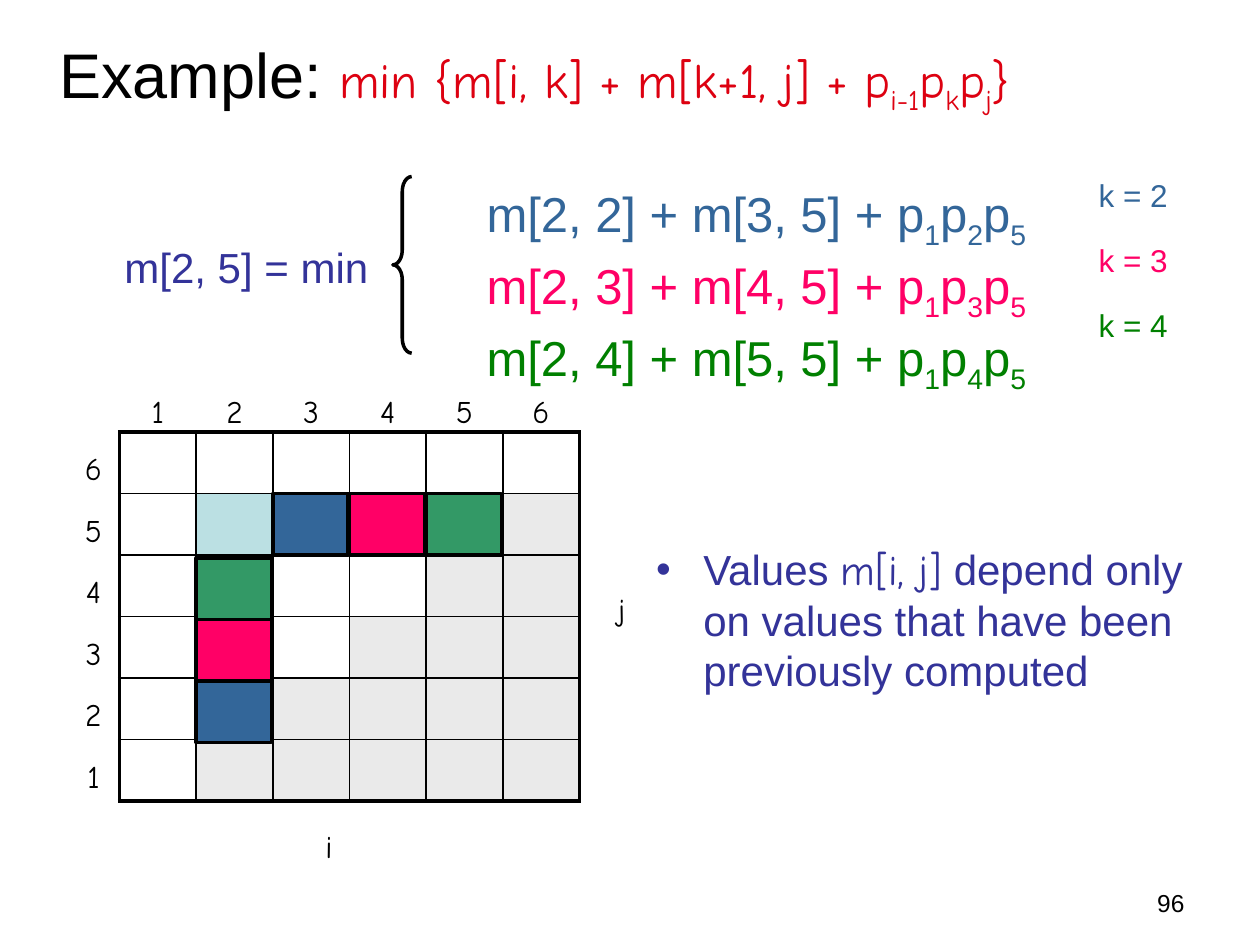
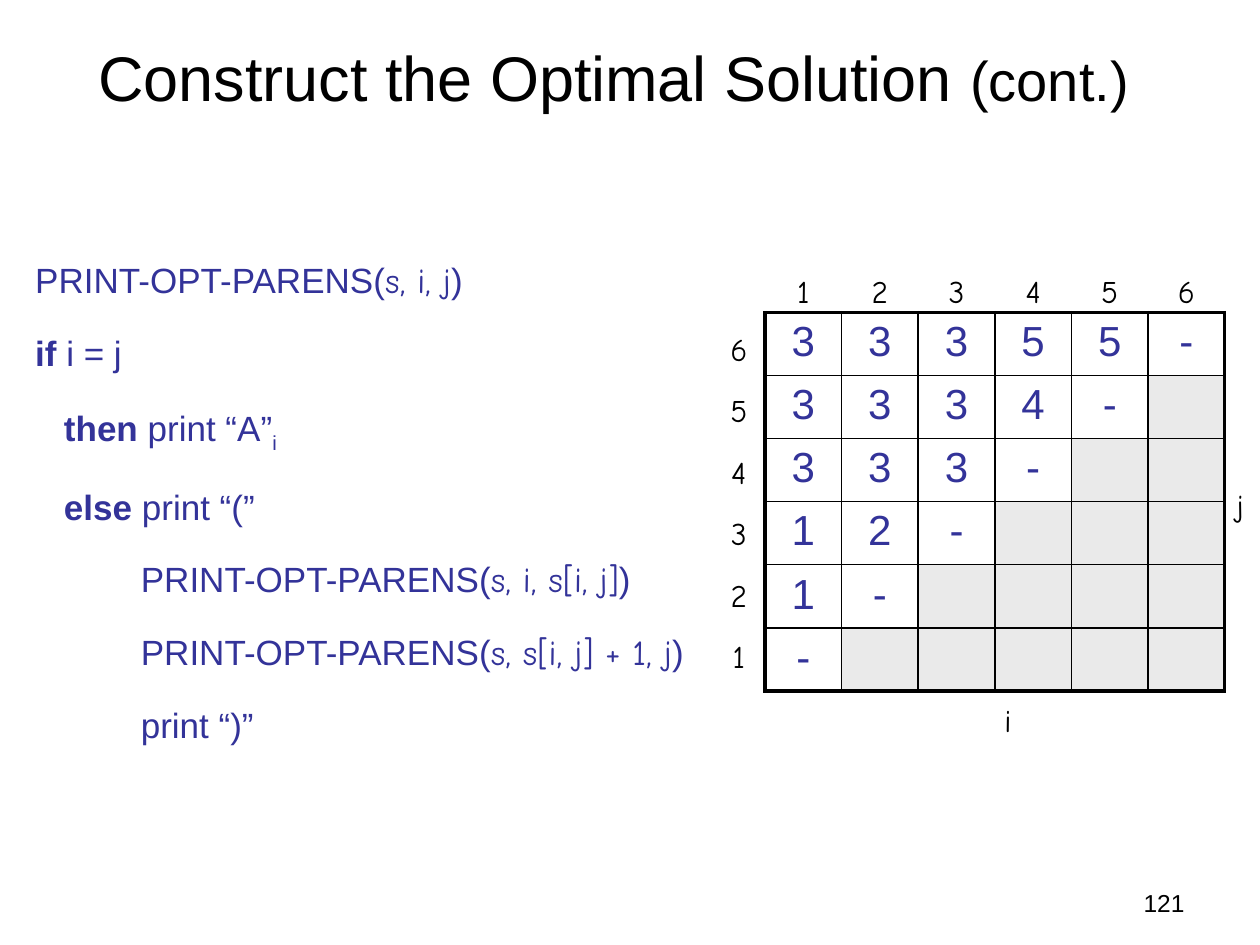
"""Build two slides on matrix-chain multiplication by dynamic programming."""
from dataclasses import dataclass
from typing import Optional

from lxml import etree
from pptx import Presentation
from pptx.dml.color import RGBColor
from pptx.enum.shapes import MSO_SHAPE
from pptx.enum.text import MSO_ANCHOR, PP_ALIGN
from pptx.oxml.ns import qn
from pptx.util import Cm, Pt

LEFT, CENTER, RIGHT = PP_ALIGN.LEFT, PP_ALIGN.CENTER, PP_ALIGN.RIGHT
MIDDLE = MSO_ANCHOR.MIDDLE
RECTANGLE, LEFT_BRACE = MSO_SHAPE.RECTANGLE, MSO_SHAPE.LEFT_BRACE
TITLE_ONLY = 5


@dataclass(frozen=True)
class Theme:
    """Colours, fonts and type sizes shared by the slides."""
    ink: str = "000000"
    body: str = "333399"
    formula: str = "DD0111"
    unused: str = "EAEAEA"
    target: str = "BBE0E3"
    sans: str = "Arial"
    math: str = "Comic Neue"
    title: int = 36
    title_small: int = 32
    equation: int = 28
    text: int = 24
    code: int = 20
    label: int = 18
    page: int = 14


@dataclass(frozen=True)
class Piece:
    """A stretch of text that may differ from its paragraph."""
    text: str
    math: bool = False
    sub: bool = False
    bold: bool = False
    size: Optional[int] = None
    color: Optional[str] = None


THEME = Theme()
SIZE = 6
CELL_W, CELL_H = 1.545, 1.24
LABEL_W, LABEL_H = 0.89, 1.02
THIN, THICK = 1, 2.25
SPLITS = {2: ("336699", "336699"), 3: ("FF0066", "FF0066"), 4: ("008000", "339966")}
S_VALUES = ["33355-", "3334-", "333-", "12-", "1-", "-"]


def style(run, size, color, font, bold=False):
    """Format one run."""
    run.font.name, run.font.size, run.font.bold = font, Pt(size), bold
    run.font.color.rgb = RGBColor.from_string(color)


def write(paragraph, pieces, size, color):
    """Fill a paragraph with formatted pieces."""
    for piece in pieces:
        run = paragraph.add_run()
        run.text = piece.text
        style(run, piece.size or size, piece.color or color,
              THEME.math if piece.math else THEME.sans, piece.bold)
        if piece.sub:
            run._r.get_or_add_rPr().set("baseline", "-25000")


def indent(paragraph, margin, first=0.0):
    """Set the left margin and first-line offset of a paragraph."""
    properties = paragraph._p.get_or_add_pPr()
    properties.set("marL", str(Cm(margin)))
    properties.set("indent", str(Cm(first)))
    return properties


def add_frame(slide, left, top, width, height, wrap=True):
    """Add a text box and return its text frame."""
    frame = slide.shapes.add_textbox(Cm(left), Cm(top), Cm(width), Cm(height)).text_frame
    frame.word_wrap = wrap
    return frame


def add_label(slide, text, box, size=THEME.label, color=THEME.ink,
              font=THEME.math, align=CENTER):
    """Add a one-line label."""
    frame = add_frame(slide, *box, wrap=False)
    frame.text = text
    paragraph = frame.paragraphs[0]
    paragraph.alignment = align
    style(paragraph.runs[0], size, color, font)


def add_lines(slide, box, lines, size, spacing, gap):
    """Add a box of (margin, colour, pieces) lines."""
    frame = add_frame(slide, *box)
    for number, (margin, color, pieces) in enumerate(lines):
        paragraph = frame.add_paragraph() if number else frame.paragraphs[0]
        indent(paragraph, margin)
        paragraph.line_spacing = spacing
        if number:
            paragraph.space_before = Pt(gap)
        write(paragraph, pieces, size, color)


def add_titled_slide(deck, pieces, page, align=LEFT):
    """Add a slide with its title and page number."""
    slide = deck.slides.add_slide(deck.slide_layouts[TITLE_ONLY])
    title = slide.shapes.title
    title.left, title.top, title.width, title.height = Cm(0.94), Cm(0.28), Cm(22.86), Cm(2.51)
    title.text_frame.vertical_anchor = MIDDLE
    heading = title.text_frame.paragraphs[0]
    heading.alignment = align
    write(heading, pieces, THEME.title, THEME.ink)
    add_label(slide, page, (18.21, 17.78, 5.92, 0.89), THEME.page, font=THEME.sans, align=RIGHT)
    return slide


def add_border(cell, side, width):
    """Draw one side of a cell."""
    line = etree.SubElement(cell._tc.get_or_add_tcPr(), qn(f"a:ln{side}"), w=str(Pt(width)))
    fill = etree.SubElement(line, qn("a:solidFill"))
    etree.SubElement(fill, qn("a:srgbClr"), val=THEME.ink)


def add_grid(slide, left, top, i_at, j_at, values=(), target=None):
    """Add the triangular table with its index labels."""
    table = slide.shapes.add_table(SIZE, SIZE, Cm(left), Cm(top),
                                   Cm(SIZE * CELL_W), Cm(SIZE * CELL_H)).table
    table.first_row = table.horz_banding = False
    for index in range(SIZE):
        table.columns[index].width = Cm(CELL_W)
        table.rows[index].height = Cm(CELL_H)
    for row in range(SIZE):
        for col in range(SIZE):
            cell = table.cell(row, col)
            outer = {"L": col == 0, "R": col == SIZE - 1, "T": row == 0, "B": row == SIZE - 1}
            for side, on_edge in outer.items():
                add_border(cell, side, THICK if on_edge else THIN)
            if row + col >= SIZE or (row, col) == target:
                cell.fill.solid()
                shade = THEME.target if (row, col) == target else THEME.unused
                cell.fill.fore_color.rgb = RGBColor.from_string(shade)
            else:
                cell.fill.background()
    for row, entries in enumerate(values):
        for col, entry in enumerate(entries):
            frame = table.cell(row, col).text_frame
            frame.text = entry
            frame.paragraphs[0].alignment = CENTER
            style(frame.paragraphs[0].runs[0], THEME.text, THEME.body, THEME.sans)
    for index in range(SIZE):
        add_label(slide, str(index + 1),
                  (left + (index + 0.5) * CELL_W - LABEL_W / 2, top - 0.94, LABEL_W, LABEL_H))
        add_label(slide, str(SIZE - index),
                  (left - 0.97, top + 0.22 + index * CELL_H, LABEL_W, LABEL_H))
    for name, (x, y) in (("i", i_at), ("j", j_at)):
        add_label(slide, name, (x, y, 0.72, LABEL_H))


def add_split_cells(slide, left, top, k, color):
    """Mark the two cells that are combined when splitting at k."""
    pair = slide.shapes.add_group_shape()
    for x, y in ((left + CELL_W, top + (SIZE - k) * CELL_H + 0.06),
                 (left + k * CELL_W, top + CELL_H)):
        mark = pair.shapes.add_shape(RECTANGLE, Cm(x), Cm(y), Cm(1.52), Cm(CELL_H))
        mark.shadow.inherit = False
        mark.fill.solid()
        mark.fill.fore_color.rgb = RGBColor.from_string(color)
        mark.line.color.rgb = RGBColor.from_string(THEME.ink)
        mark.line.width = Pt(2)


def add_brace(slide, left, top, width, height):
    """Add the brace that gathers the alternatives."""
    brace = slide.shapes.add_shape(LEFT_BRACE, Cm(left), Cm(top), Cm(width), Cm(height))
    brace.shadow.inherit = False
    brace.adjustments[0] = 0.79
    brace.fill.background()
    brace.line.color.rgb = RGBColor.from_string(THEME.ink)
    brace.line.width = Pt(2)


def add_bullet(slide, box, pieces):
    """Add a bulleted remark."""
    paragraph = add_frame(slide, *box).paragraphs[0]
    properties = indent(paragraph, 0.95, -0.95)
    etree.SubElement(properties, qn("a:buFont"), typeface=THEME.sans)
    etree.SubElement(properties, qn("a:buChar"), char="•")
    write(paragraph, pieces, THEME.text, THEME.body)


def alternative(k):
    """Return the cost formula for splitting at k."""
    return [Piece(f"m[2, {k}] + m[{k + 1}, 5] + p"), Piece("1", sub=True), Piece("p"),
            Piece(str(k), sub=True), Piece("p"), Piece("5", sub=True)]


def call(arguments):
    """Return a call of the printing procedure."""
    return [Piece("PRINT-OPT-PARENS("), Piece(arguments, math=True), Piece(")")]


def build_example(deck):
    """Build the worked example for m[2, 5]."""
    recurrence = [("min {m[i, k] + m[k+1, j] + p", False), ("i-1", True), ("p", False),
                  ("k", True), ("p", False), ("j", True), ("}", False)]
    slide = add_titled_slide(deck, [Piece("Example: ")] + [
        Piece(text, math=True, sub=sub, size=THEME.equation, color=THEME.formula)
        for text, sub in recurrence], "96")
    add_lines(slide, (0.97, 3.6, 22.25, 4.09),
              [(8.59, color, alternative(k)) for k, (color, _) in SPLITS.items()],
              THEME.equation, 0.9, 6.7)
    add_brace(slide, 7.92, 3.56, 0.38, 3.56)
    add_label(slide, "m[2, 5] = min", (2.26, 4.75, 6.53, 1.73), THEME.text, THEME.body,
              THEME.sans, LEFT)
    left, top = 2.41, 8.71
    add_grid(slide, left, top, (6.27, 16.54), (12.17, 11.76), target=(1, 1))
    for step, (k, (color, fill)) in enumerate(SPLITS.items()):
        add_split_cells(slide, left, top, k, fill)
        add_label(slide, f"k = {k}", (21.89, 3.43 + 1.31 * step, 1.91, LABEL_H),
                  color=color, font=THEME.sans)
    add_bullet(slide, (12.98, 10.84, 11.81, 6.53),
               [Piece("Values "), Piece("m[i, j]", math=True),
                Piece(" depend only on values that have been previously computed")])


def build_solution(deck):
    """Build the slide that prints the optimal parentheses."""
    slide = add_titled_slide(deck, [Piece("Construct the Optimal Solution "),
                                    Piece("(cont.)", size=THEME.title_small)], "121", CENTER)
    add_grid(slide, 15.42, 6.3, (19.96, 14), (24.64, 9.68), S_VALUES)
    branch, nested = 0.58, 2.13
    procedure = [
        (0, call("s, i, j")),
        (0, [Piece("if", bold=True), Piece(" i = j")]),
        (branch, [Piece("then", bold=True), Piece(" print “A”"), Piece("i", sub=True)]),
        (branch, [Piece("else", bold=True), Piece(" print “(”")]),
        (nested, call("s, i, s[i, j]")),
        (nested, call("s, s[i, j] + 1, j")),
        (nested, [Piece("print “)”")]),
    ]
    add_lines(slide, (0.46, 4.67, 20.32, 13.28),
              [(margin, THEME.body, pieces) for margin, pieces in procedure],
              THEME.code, 1.5, 5.5)


def main():
    """Build and save the deck."""
    deck = Presentation()
    deck.slide_width, deck.slide_height = Cm(25.4), Cm(19.05)
    build_example(deck)
    build_solution(deck)
    deck.save("out.pptx")


if __name__ == "__main__":
    main()
